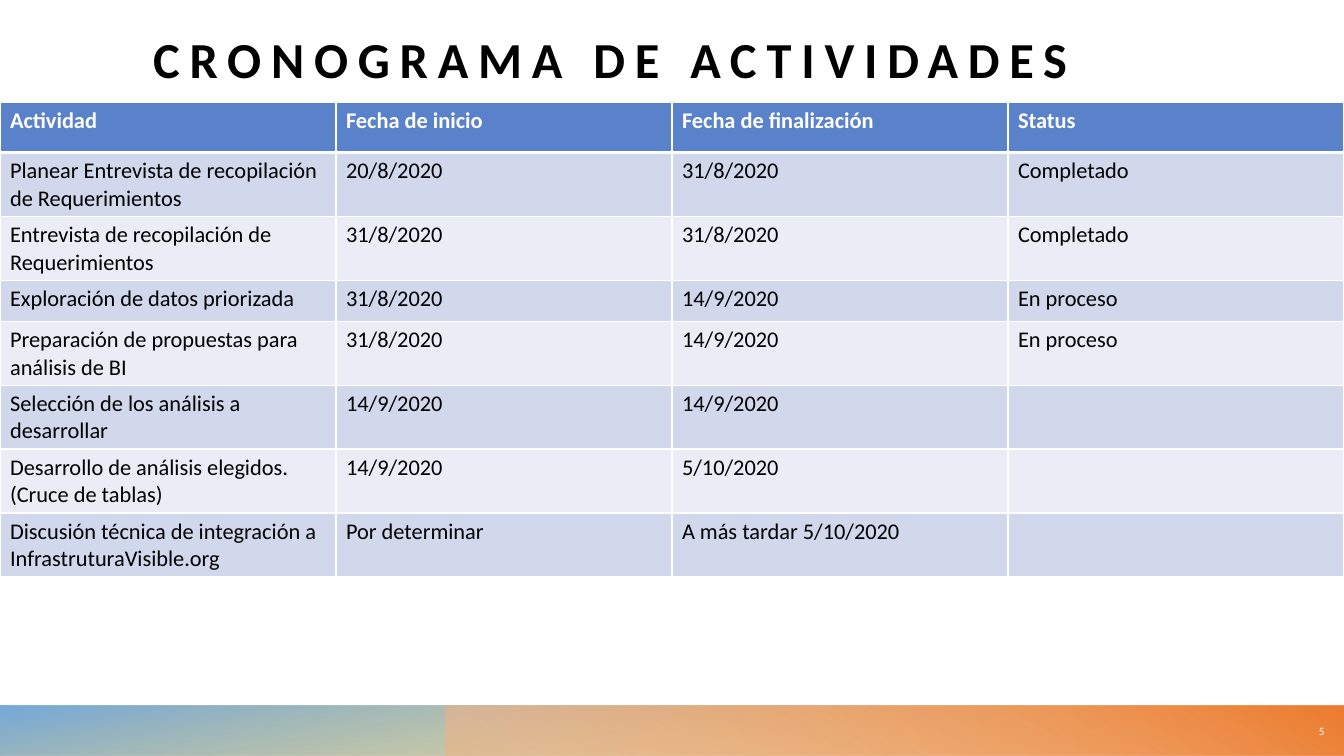
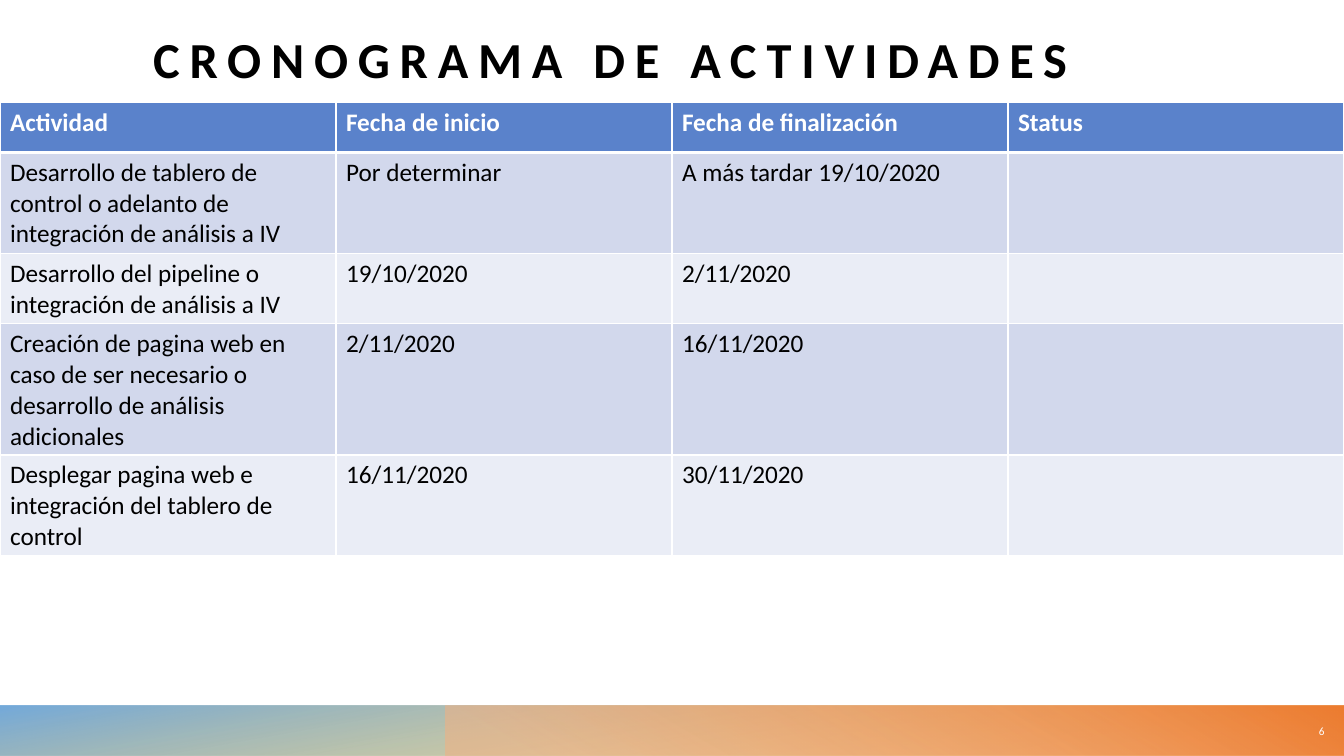
from dataclasses import dataclass

from lxml.etree import SubElement
from pptx import Presentation
from pptx.dml.color import RGBColor
from pptx.enum.shapes import MSO_SHAPE
from pptx.enum.text import MSO_ANCHOR, MSO_AUTO_SIZE, PP_ALIGN
from pptx.oxml.ns import qn
from pptx.util import Cm, Pt


@dataclass(frozen=True)
class Theme:
    font: str = "Calibri"
    white: str = "FFFFFF"
    black: str = "000000"
    header: str = "5A82CB"
    stripes: tuple = ("D2D8EC", "EAEDF6")
    title_size: int = 36
    title_spacing: int = 7
    number_size: int = 8
    border: int = 1
    header_border: int = 3


THEME = Theme()
TITLE = "CRONOGRAMA DE ACTIVIDADES"
FIRST_NUMBER = 5
HEADINGS = ("Actividad", "Fecha de inicio", "Fecha de finalización", "Status")

SCHEDULES = [
    {"size": 16, "rows": [
        ("Planear Entrevista de recopilación de Requerimientos", "20/8/2020", "31/8/2020", "Completado"),
        ("Entrevista de recopilación de Requerimientos", "31/8/2020", "31/8/2020", "Completado"),
        ("Exploración de datos priorizada", "31/8/2020", "14/9/2020", "En proceso"),
        ("Preparación de propuestas para análisis de BI", "31/8/2020", "14/9/2020", "En proceso"),
        ("Selección de los análisis a desarrollar", "14/9/2020", "14/9/2020", ""),
        ("Desarrollo de análisis elegidos. (Cruce de tablas)", "14/9/2020", "5/10/2020", ""),
        ("Discusión técnica de integración a InfrastruturaVisible.org", "Por determinar",
         "A más tardar 5/10/2020", ""),
    ]},
    {"size": 18, "rows": [
        ("Desarrollo de tablero de control o adelanto de integración de análisis a IV", "Por determinar",
         "A más tardar 19/10/2020", ""),
        ("Desarrollo del pipeline o integración de análisis a IV", "19/10/2020", "2/11/2020", ""),
        ("Creación de pagina web en caso de ser necesario o desarrollo de análisis adicionales",
         "2/11/2020", "16/11/2020", ""),
        ("Desplegar pagina web e integración del tablero de control", "16/11/2020", "30/11/2020", ""),
    ]},
]

# Gradient stops are (position %, colour, opacity %); angles run clockwise.
BANDS = [
    {"left": 0, "rotation": 180, "angle": 100,
     "stops": [(14, "CF9B00", 28), (100, "5B9BD5", 85)]},
    {"left": 11.23, "rotation": 0, "angle": 240,
     "stops": [(9, "F4B183", 55), (99, "ED7D31", 100)]},
]
SLIDE_WIDTH, SLIDE_HEIGHT = 33.87, 19.05
BAND_HEIGHT = 1.27
TABLE_TOP = 2.57
HEADER_HEIGHT, ROW_HEIGHT = 1.27, 1.04


def style_font(paragraph, size, colour, bold=False):
    font = paragraph.font
    font.name, font.size, font.bold = THEME.font, Pt(size), bold
    font.color.rgb = RGBColor.from_string(colour)


def add_band(shapes, band):
    shape = shapes.add_shape(
        MSO_SHAPE.RECTANGLE, Cm(band["left"]), Cm(SLIDE_HEIGHT - BAND_HEIGHT),
        Cm(SLIDE_WIDTH - band["left"]), Cm(BAND_HEIGHT))
    shape.shadow.inherit = False
    shape.line.fill.background()
    shape.rotation = band["rotation"]
    shape.element.spPr.find(qn("a:xfrm")).set("flipH", "1")
    shape.fill.gradient()
    shape.fill.gradient_angle = 360 - band["angle"]
    for stop, (position, colour, _) in zip(shape.fill.gradient_stops, band["stops"]):
        stop.position = position / 100
        stop.color.rgb = RGBColor.from_string(colour)
    colours = shape.element.spPr.findall(".//" + qn("a:gs") + "/" + qn("a:srgbClr"))
    for colour, (_, _, opacity) in zip(colours, band["stops"]):
        SubElement(colour, qn("a:alpha"), val=str(opacity * 1000))
    return shape


def prepare_layout(layout, slide):
    """Place the shared title and move the bands from the slide to its layout."""
    title = next(shape for shape in layout.placeholders if shape.placeholder_format.idx == 0)
    title.left, title.top, title.width, title.height = Cm(3.86), Cm(0.43), Cm(28.45), Cm(1.8)
    frame = title.text_frame
    frame.margin_left = frame.margin_right = frame.margin_top = frame.margin_bottom = 0
    frame.vertical_anchor = MSO_ANCHOR.BOTTOM
    frame.auto_size = MSO_AUTO_SIZE.NONE
    for index, band in enumerate(BANDS):
        element = add_band(slide.shapes, band).element
        element.xpath(".//p:cNvPr")[0].set("id", str(20 + index))
        layout.shapes.element.insert(2 + index, element)


def add_title(slide):
    paragraph = slide.shapes.title.text_frame.paragraphs[0]
    paragraph.text = TITLE
    paragraph.alignment = PP_ALIGN.LEFT
    style_font(paragraph, THEME.title_size, THEME.black, bold=True)
    for run in paragraph.runs:
        run.font.bold = True
        run_properties = run.font.fill and paragraph.runs[0]._r.get_or_add_rPr()
        run_properties.set("spc", str(THEME.title_spacing * 100))


def add_number(slide, number):
    frame = slide.shapes.add_textbox(Cm(32.41), Cm(17.81), Cm(1.22), Cm(1.24)).text_frame
    frame.word_wrap = True
    frame.vertical_anchor = MSO_ANCHOR.MIDDLE
    paragraph = frame.paragraphs[0]
    paragraph.text = str(number)
    paragraph.alignment = PP_ALIGN.RIGHT
    style_font(paragraph, THEME.number_size, THEME.white)


def set_borders(cell, top, bottom):
    properties = cell._tc.get_or_add_tcPr()
    widths = {"lnL": THEME.border, "lnR": THEME.border, "lnT": top, "lnB": bottom}
    for side, width in widths.items():
        line = SubElement(properties, qn("a:" + side), w=str(Pt(width)))
        fill = SubElement(line, qn("a:solidFill"))
        SubElement(fill, qn("a:srgbClr"), val=THEME.white)


def add_schedule(slide, rows, size):
    rows = [HEADINGS, *rows]
    height = HEADER_HEIGHT + ROW_HEIGHT * (len(rows) - 1)
    table = slide.shapes.add_table(
        len(rows), len(HEADINGS), 0, Cm(TABLE_TOP), Cm(SLIDE_WIDTH), Cm(height)).table
    for row_index, values in enumerate(rows):
        is_header = row_index == 0
        table.rows[row_index].height = Cm(HEADER_HEIGHT if is_header else ROW_HEIGHT)
        background = THEME.header if is_header else THEME.stripes[(row_index - 1) % 2]
        top = THEME.header_border if row_index == 1 else THEME.border
        bottom = THEME.header_border if is_header else THEME.border
        for column_index, value in enumerate(values):
            cell = table.cell(row_index, column_index)
            set_borders(cell, top, bottom)
            cell.fill.solid()
            cell.fill.fore_color.rgb = RGBColor.from_string(background)
            paragraph = cell.text_frame.paragraphs[0]
            paragraph.text = value
            style_font(paragraph, size, THEME.white if is_header else THEME.black, is_header)


def main():
    presentation = Presentation()
    presentation.slide_width, presentation.slide_height = Cm(SLIDE_WIDTH), Cm(SLIDE_HEIGHT)
    layout = presentation.slide_layouts.get_by_name("Title Only")
    for number, schedule in enumerate(SCHEDULES, FIRST_NUMBER):
        slide = presentation.slides.add_slide(layout)
        if number == FIRST_NUMBER:
            prepare_layout(layout, slide)
        add_title(slide)
        add_number(slide, number)
        add_schedule(slide, schedule["rows"], schedule["size"])
    presentation.save("out.pptx")


if __name__ == "__main__":
    main()
